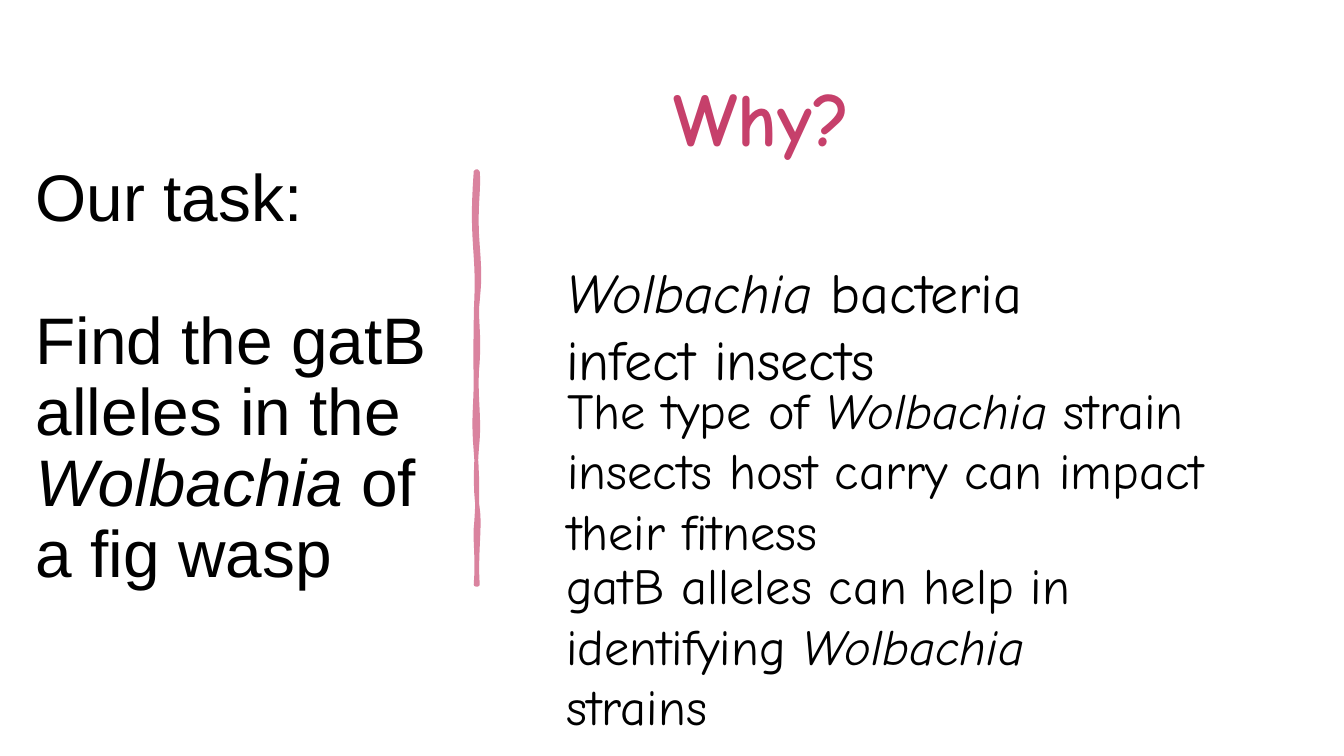
from pptx import Presentation
from pptx.dml.color import RGBColor
from pptx.enum.shapes import MSO_SHAPE
from pptx.enum.text import MSO_ANCHOR, MSO_AUTO_SIZE, PP_ALIGN
from pptx.util import Pt

BLACK = RGBColor(0x00, 0x00, 0x00)
WHITE = RGBColor(0xFF, 0xFF, 0xFF)
PINK = RGBColor(0xDA, 0x83, 0x9F)
ROSE = RGBColor(0xC6, 0x40, 0x6B)


def add_box(left, top, width, height):
    tf = s.shapes.add_textbox(Pt(left), Pt(top), Pt(width), Pt(height)).text_frame
    tf.word_wrap = True
    return tf


def add_runs(p, runs, font, size, color=BLACK, bold=False):
    for text, italic in runs:
        r = p.add_run()
        r.text = text
        r.font.name = font
        r.font.size = Pt(size)
        r.font.color.rgb = color
        r.font.bold = bold
        r.font.italic = italic


prs = Presentation()
prs.slide_width, prs.slide_height = Pt(960), Pt(540)
s = prs.slides.add_slide(prs.slide_layouts[6])

backdrop = s.shapes.add_shape(MSO_SHAPE.RECTANGLE, 0, 0, prs.slide_width, prs.slide_height)
backdrop.shadow.inherit = False
backdrop.fill.solid()
backdrop.fill.fore_color.rgb = WHITE
backdrop.line.fill.background()

tf = add_box(18.4, 50.4, 300.3, 440)
tf.vertical_anchor = MSO_ANCHOR.MIDDLE
task = [
    [("Our task:", False)],
    [("Find the gatB alleles in the ", False), ("Wolbachia", True), (" of a fig wasp", False)],
]
for i, runs in enumerate(task):
    p = tf.add_paragraph() if i else tf.paragraphs[0]
    p.line_spacing = 0.9
    p.space_before = Pt(51 * i)
    add_runs(p, runs, "Arial", 47)

start = (339.8, 122.4)
curves = [
    ((340.6, 122.4), (340.6, 122.4), (341.3, 122.4)),
    ((342.7, 133.9), (339.1, 149), (341.3, 175)),
    ((343.4, 200.9), (342, 205.2), (341.3, 215.3)),
    ((339.8, 225.4), (342.7, 238.3), (341.3, 258.5)),
    ((339.1, 278.6), (342.7, 297.4), (341.3, 313.9)),
    ((339.8, 329.8), (339.1, 349.2), (341.3, 362.9)),
    ((343.4, 376.6), (339.8, 394.6), (341.3, 417.6)),
    ((340.6, 417.6), (340.6, 417.6), (339.8, 417.6)),
    ((341.3, 398.9), (339.1, 385.9), (339.8, 377.3)),
    ((340.6, 369.4), (342, 347.8), (339.8, 322.6)),
    ((337.7, 297.4), (339.8, 292.3), (339.8, 270)),
    ((339.1, 248.4), (339.8, 245.5), (339.8, 229.7)),
    ((339.8, 214.6), (341.3, 205.2), (339.8, 183.6)),
    ((338.4, 162.7), (337.7, 152.6), (339.8, 122.4)),
]
STEPS = 8
outline = []
a = start
for b, c, d in curves:
    for k in range(1, STEPS + 1):
        t = k / STEPS
        u = 1 - t
        x, y = (
            u**3 * a[n] + 3 * u * u * t * b[n] + 3 * u * t * t * c[n] + t**3 * d[n]
            for n in (0, 1)
        )
        outline.append((Pt(x), Pt(y)))
    a = d
fb = s.shapes.build_freeform(Pt(start[0]), Pt(start[1]))
fb.add_line_segments(outline, close=True)
sp = fb.convert_to_shape()
sp.shadow.inherit = False
sp.fill.solid()
sp.fill.fore_color.rgb = PINK
sp.line.color.rgb = PINK
sp.line.width = Pt(2.75)

reasons = [
    (397.4, 392.4, 450, 51.1, 36,
     [("gatB alleles can help in identifying ", False), ("Wolbachia", True), (" strains", False)]),
    (397.4, 180.3, 344.2, 55.4, 40,
     [("Wolbachia", True), (" bacteria infect insects", False)]),
    (398.2, 267.1, 525.6, 94.3, 36,
     [("The type of ", False), ("Wolbachia ", True),
      ("strain insects host carry can impact their fitness", False)]),
]
for left, top, width, height, size, runs in reasons:
    tf = add_box(left, top, width, height)
    tf.auto_size = MSO_AUTO_SIZE.SHAPE_TO_FIT_TEXT
    p = tf.paragraphs[0]
    p.space_after = Pt(6)
    add_runs(p, runs, "Comic Neue", size)

tf = add_box(457, 47, 174.2, 72.7)
p = tf.paragraphs[0]
p.alignment = PP_ALIGN.CENTER
add_runs(p, [("Why?", False)], "Comic Neue", 54, ROSE, True)

prs.save("out.pptx")
